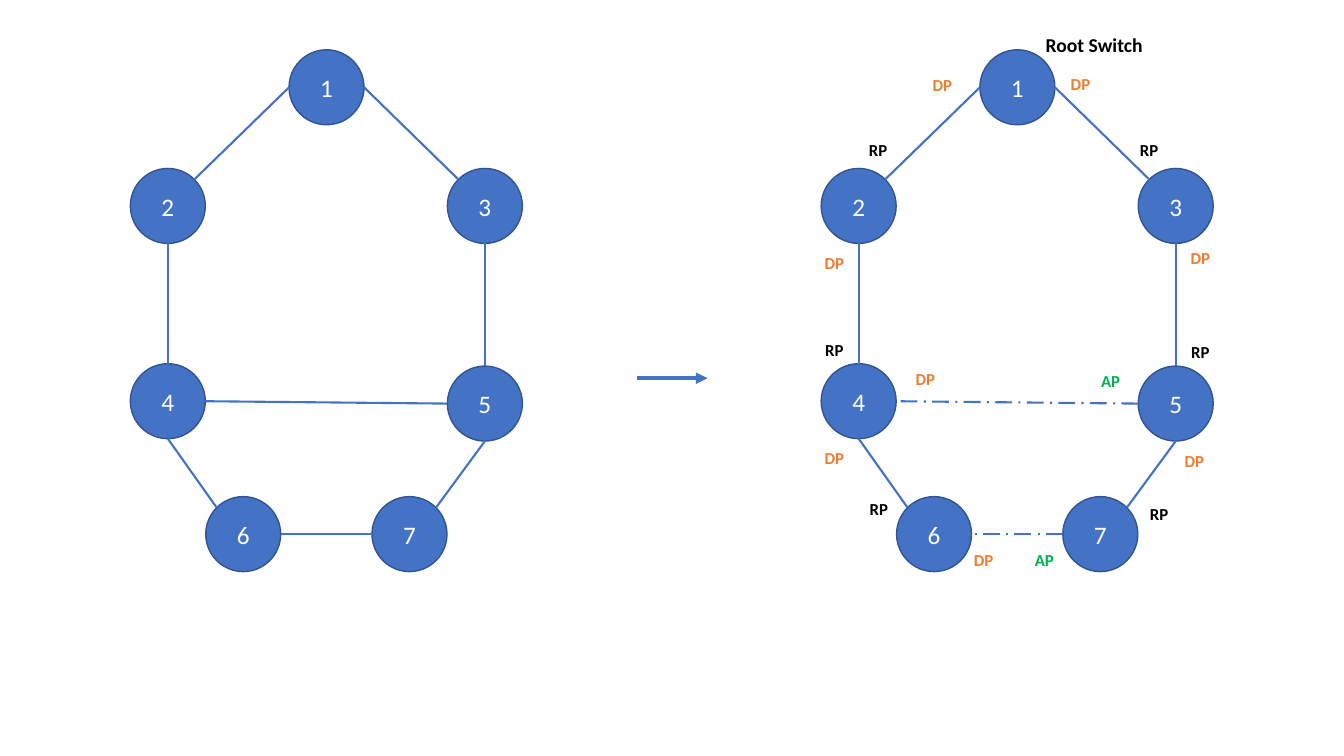
"""Build a slide showing a switch network before and after spanning tree port roles."""
from math import sqrt

from lxml.etree import SubElement
from pptx import Presentation
from pptx.dml.color import RGBColor
from pptx.enum.dml import MSO_LINE as Dash
from pptx.enum.shapes import MSO_CONNECTOR as Connector, MSO_SHAPE as Shape
from pptx.enum.text import MSO_ANCHOR as Anchor, MSO_AUTO_SIZE as AutoSize, PP_ALIGN as Align
from pptx.oxml.ns import qn
from pptx.util import Cm, Pt

COLORS = {"blue": "4472C4", "outline": "325491", "white": "FFFFFF",
          "black": "000000", "orange": "ED7D31", "green": "00B050"}
ROLE_COLORS = {"DP": "orange", "RP": "black", "AP": "green"}

DIAMETER = 1.89
NETWORK_SHIFT = 17.41
SWITCH_CENTERS = {
    "7": (10.32, 13.46), "6": (6.13, 13.46), "5": (12.22, 10.17), "4": (4.23, 10.11),
    "3": (12.22, 5.19), "2": (4.23, 5.19), "1": (8.23, 2.2),
}
DIAGONAL = 1 / sqrt(2)
SIDES = {
    "left": (-1, 0), "right": (1, 0), "top": (0, -1), "bottom": (0, 1),
    "top left": (-DIAGONAL, -DIAGONAL), "top right": (DIAGONAL, -DIAGONAL),
}
LINKS = [
    ("2", "top right", "1", "left"), ("3", "top left", "1", "right"),
    ("2", "bottom", "4", "top"), ("3", "bottom", "5", "top"),
    ("4", "bottom", "6", "top left"), ("5", "bottom", "7", "top right"),
    ("7", "left", "6", "right"), ("5", "left", "4", "right"),
]
BLOCKED_LINKS = {("7", "6"), ("5", "4")}
ARROW = ((16.05, 9.53), (17.83, 9.53))

PORT_SIZE = (1.68, 0.77)
PORTS = [
    ("DP", 22.91, 1.75), ("DP", 26.39, 1.73), ("RP", 21.29, 3.4), ("RP", 28.12, 3.4),
    ("DP", 20.19, 6.25), ("DP", 29.41, 6.12), ("RP", 20.19, 8.43), ("DP", 22.48, 9.17),
    ("DP", 20.19, 11.15), ("RP", 29.41, 8.48), ("AP", 27.15, 9.22), ("DP", 29.26, 11.23),
    ("RP", 21.31, 12.45), ("DP", 23.95, 13.72), ("RP", 28.37, 12.57), ("AP", 25.48, 13.72),
]
ROOT_LABEL = ("Root Switch", 25.96, 0.71)
ROOT_SIZE = (3.23, 0.86)


def color(name):
    return RGBColor.from_string(COLORS[name])


def write(shape, text, color_name, **formats):
    paragraph = shape.text_frame.paragraphs[0]
    paragraph.alignment = Align.CENTER
    run = paragraph.add_run()
    run.text = text
    for name, value in {"name": "Calibri", **formats}.items():
        setattr(run.font, name, value)
    run.font.color.rgb = color(color_name)


def add_switch(slide, name, x, y):
    radius = DIAMETER / 2
    shape = slide.shapes.add_shape(
        Shape.OVAL, Cm(x - radius), Cm(y - radius), Cm(DIAMETER), Cm(DIAMETER))
    shape.shadow.inherit = False
    shape.fill.solid()
    shape.fill.fore_color.rgb = color("blue")
    shape.line.color.rgb = color("outline")
    shape.line.width = Pt(1)
    shape.text_frame.vertical_anchor = Anchor.MIDDLE
    write(shape, name, "white", size=Pt(18))


def add_line(slide, start, end, width=1.5, dash=None):
    line = slide.shapes.add_connector(
        Connector.STRAIGHT, *(Cm(value) for value in (*start, *end)))
    line.line.color.rgb = color("blue")
    line.line.width = Pt(width)
    if dash:
        line.line.dash_style = dash
    SubElement(line.element.spPr, qn("a:effectLst"))
    return line


def add_network(slide, shift, blocked):
    centers = {name: (x + shift, y) for name, (x, y) in SWITCH_CENTERS.items()}

    def edge(name, side):
        return [center + DIAMETER / 2 * offset
                for center, offset in zip(centers[name], SIDES[side])]

    for name, center in centers.items():
        add_switch(slide, name, *center)
    for first, first_side, second, second_side in LINKS:
        dash = Dash.LONG_DASH_DOT if (first, second) in blocked else None
        add_line(slide, edge(first, first_side), edge(second, second_side), dash=dash)


def add_label(slide, text, left, top, size, color_name, points):
    box = slide.shapes.add_textbox(*(Cm(value) for value in (left, top, *size)))
    box.text_frame.word_wrap = True
    box.text_frame.auto_size = AutoSize.SHAPE_TO_FIT_TEXT
    write(box, text, color_name, size=Pt(points), bold=True)


def main():
    presentation = Presentation()
    presentation.slide_width, presentation.slide_height = Cm(33.87), Cm(19.05)
    slide = presentation.slides.add_slide(presentation.slide_layouts[6])

    add_network(slide, 0, set())
    add_network(slide, NETWORK_SHIFT, BLOCKED_LINKS)
    arrow = add_line(slide, *ARROW, width=2.75)
    SubElement(arrow.line._get_or_add_ln(), qn("a:tailEnd"), type="triangle")

    for role, left, top in PORTS:
        add_label(slide, role, left, top, PORT_SIZE, ROLE_COLORS[role], 12)
    add_label(slide, *ROOT_LABEL, ROOT_SIZE, "black", 14)
    presentation.save("out.pptx")


if __name__ == "__main__":
    main()
